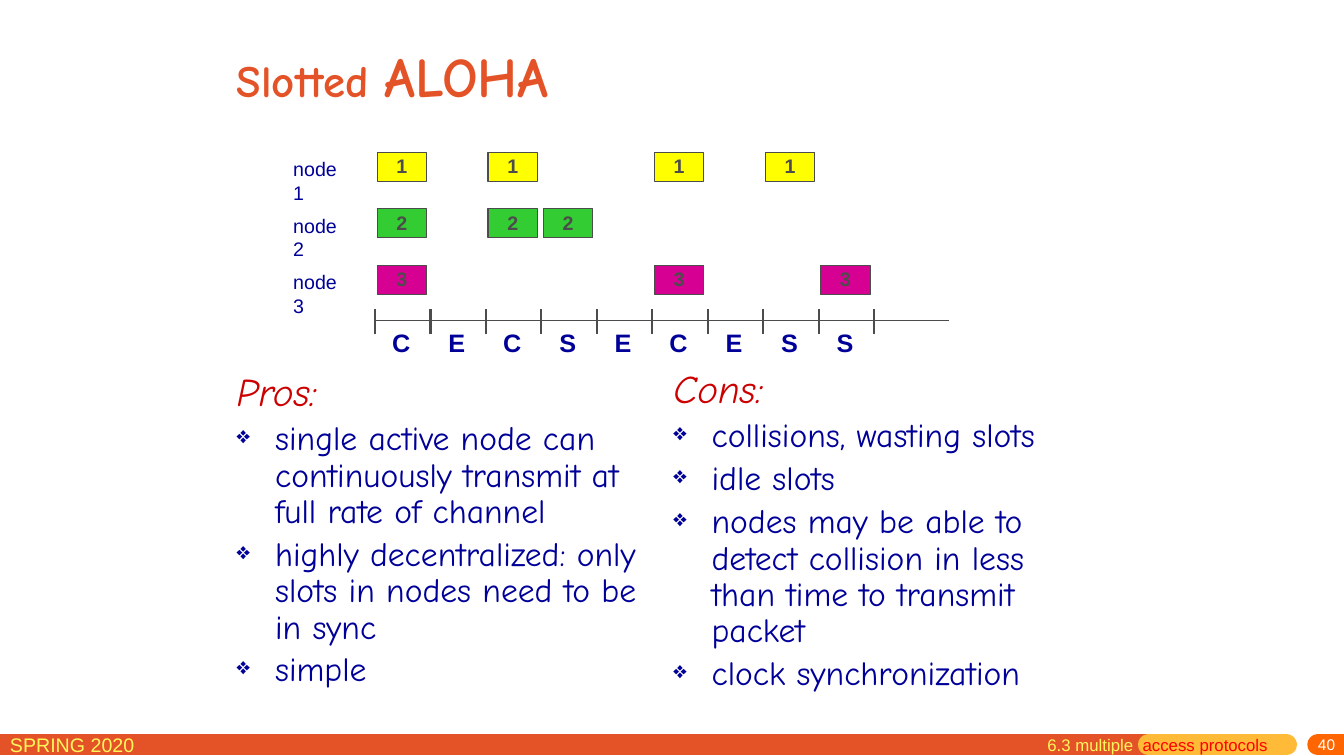
from pptx import Presentation
from pptx import util as u
from pptx.dml.color import RGBColor
from pptx.enum import shapes, text
from pptx.oxml.ns import qn
from lxml import etree

ORANGE = RGBColor(0xE4, 0x53, 0x27)
AMBER = RGBColor(0xFF, 0xBA, 0x37)
BRIGHT_ORANGE = RGBColor(0xFF, 0x66, 0x00)
PALE_YELLOW = RGBColor(0xFF, 0xF6, 0x5C)
WHITE = RGBColor(0xFF, 0xFF, 0xFF)
RED = RGBColor(0xFF, 0x00, 0x00)
DARK_RED = RGBColor(0xCC, 0x00, 0x00)
NAVY = RGBColor(0x00, 0x00, 0x99)
GRAY = RGBColor(0x4C, 0x4C, 0x4C)
YELLOW = RGBColor(0xFF, 0xFF, 0x00)
GREEN = RGBColor(0x33, 0xCC, 0x33)
MAGENTA = RGBColor(0xD6, 0x00, 0x93)

HAND_FONT = "Comic Neue"
PLAIN_FONT = "Arial"
SLOT_WIDTH = 0.55
ROW_PITCH = 0.56
OUTCOMES = "CECSECESS"
NODES = [
    ("1", YELLOW, (0, 2, 5, 7)),
    ("2", GREEN, (0, 2, 3)),
    ("3", MAGENTA, (0, 5, 8)),
]
PROS = [
    "single active node can continuously transmit at full rate of channel",
    "highly decentralized: only slots in nodes need to be in sync",
    "simple",
]
CONS = [
    "collisions, wasting slots",
    "idle slots",
    "nodes may be able to detect collision in less than time to transmit packet",
    "clock synchronization",
]


def add_run(paragraph, words, size, color, font=PLAIN_FONT, bold=False, italic=False):
    run = paragraph.add_run()
    run.text = words
    run.font.size = u.Pt(size)
    run.font.name = font
    run.font.bold = bold
    run.font.italic = italic
    run.font.color.rgb = color


def add_text_box(slide, left, top, width, height, wrap=True):
    shape = slide.shapes.add_textbox(*map(u.Inches, (left, top, width, height)))
    shape.text_frame.word_wrap = wrap
    return shape.text_frame


def add_line(slide, start, end, color, width, rounded=False):
    line = slide.shapes.add_connector(
        shapes.MSO_CONNECTOR.STRAIGHT, *map(u.Inches, (*start, *end)))
    line.line.color.rgb = color
    line.line.width = u.Pt(width)
    properties = line._element.spPr
    etree.SubElement(properties, qn("a:effectLst"))
    if rounded:
        properties.find(qn("a:ln")).set("cap", "rnd")


def add_footer(slide, top):
    middle = top + 0.17
    for start, end, color in ((-0.18, 11.39, ORANGE), (11.39, 12.76, AMBER),
                              (13.07, 13.6, BRIGHT_ORANGE)):
        add_line(slide, (start, middle), (end, middle), color, 15, color != ORANGE)

    term = add_text_box(slide, 0, top, 2.29, 0.31)
    add_run(term.paragraphs[0], "SPRING 2020", 14, PALE_YELLOW)

    section = add_text_box(slide, 10.29, top + 0.02, 2.44, 0.31).paragraphs[0]
    add_run(section, "6.3 multiple  ", 12, PALE_YELLOW)
    add_run(section, "access protocols", 12, RED)

    number = add_text_box(slide, 10.75, top + 0.1, 2.59, 0.18)
    number.margin_top = 0
    number.vertical_anchor = text.MSO_ANCHOR.MIDDLE
    number.paragraphs[0].alignment = text.PP_ALIGN.RIGHT
    add_run(number.paragraphs[0], "40", 11, WHITE)


def format_title(slide, left, top, width, height):
    title = slide.shapes.title
    title.left, title.top, title.width, title.height = map(
        u.Inches, (left, top, width, height))
    frame = title.text_frame
    frame.vertical_anchor = text.MSO_ANCHOR.MIDDLE
    frame.auto_size = text.MSO_AUTO_SIZE.NONE
    paragraph = frame.paragraphs[0]
    paragraph.alignment = text.PP_ALIGN.LEFT
    add_run(paragraph, "Slotted ", 32, ORANGE, HAND_FONT, bold=True)
    add_run(paragraph, "ALOHA", 40, ORANGE, HAND_FONT, bold=True)


def add_packet(slide, left, top, digit, color):
    packet = slide.shapes.add_shape(
        shapes.MSO_SHAPE.RECTANGLE, *map(u.Inches, (left, top, 0.49, 0.29)))
    packet.shadow.inherit = False
    packet.fill.solid()
    packet.fill.fore_color.rgb = color
    packet.line.color.rgb = GRAY
    packet.line.width = u.Pt(0.75)
    frame = packet.text_frame
    frame.margin_left = frame.margin_right = frame.margin_top = 0
    frame.margin_bottom = u.Inches(0.02)
    frame.vertical_anchor = text.MSO_ANCHOR.MIDDLE
    frame.paragraphs[0].alignment = text.PP_ALIGN.CENTER
    add_run(frame.paragraphs[0], digit, 14, GRAY, bold=True)


def add_timeline(slide, left, top):
    for row, (digit, color, slots) in enumerate(NODES):
        row_top = top + row * ROW_PITCH
        label = add_text_box(slide, left - 0.91, row_top, 0.79, 0.33, wrap=False)
        add_run(label.paragraphs[0], f"node {digit}", 14, NAVY)
        for slot in slots:
            add_packet(slide, left + slot * SLOT_WIDTH + 0.02, row_top, digit, color)

    axis = top + 1.67
    add_line(slide, (left, axis), (left + 5.69, axis), GRAY, 0.75)
    for tick in range(len(OUTCOMES) + 1):
        x = left + tick * SLOT_WIDTH
        add_line(slide, (x, axis - 0.11), (x, axis + 0.13), GRAY, 1.5)

    for slot, letter in enumerate(OUTCOMES):
        outcome = add_text_box(
            slide, left + slot * SLOT_WIDTH + 0.07, axis + 0.02, 0.38, 0.4, wrap=False)
        outcome.paragraphs[0].alignment = text.PP_ALIGN.CENTER
        add_run(outcome.paragraphs[0], letter, 18, NAVY, bold=True)


def add_bullet(paragraph):
    properties = paragraph._p.get_or_add_pPr()
    properties.set("marL", str(u.Inches(0.38)))
    properties.set("indent", str(u.Inches(-0.38)))
    etree.SubElement(properties, qn("a:buSzPct"), val="70000")
    etree.SubElement(properties, qn("a:buChar"), char="❖")


def add_arguments(slide, left, top, heading, points):
    frame = add_text_box(slide, left, top, 4.17, 3.5)
    paragraph = frame.paragraphs[0]
    paragraph.line_spacing = 0.9
    paragraph.space_before = u.Pt(5.6)
    add_run(paragraph, heading, 28, DARK_RED, HAND_FONT, italic=True)
    for point in points:
        paragraph = frame.add_paragraph()
        paragraph.line_spacing = 0.9
        paragraph.space_before = u.Pt(4.8)
        add_bullet(paragraph)
        add_run(paragraph, point, 24, NAVY, HAND_FONT)


def main():
    presentation = Presentation()
    presentation.slide_width = u.Inches(13.33)
    presentation.slide_height = u.Inches(7.5)
    slide = presentation.slides.add_slide(presentation.slide_layouts[5])
    add_footer(slide, 7.22)
    format_title(slide, 2.25, 0.12, 5.42, 1.25)
    add_timeline(slide, 3.72, 1.51)
    add_arguments(slide, 2.25, 3.65, "Pros:", PROS)
    add_arguments(slide, 6.58, 3.62, "Cons:", CONS)
    presentation.save("out.pptx")


if __name__ == "__main__":
    main()
